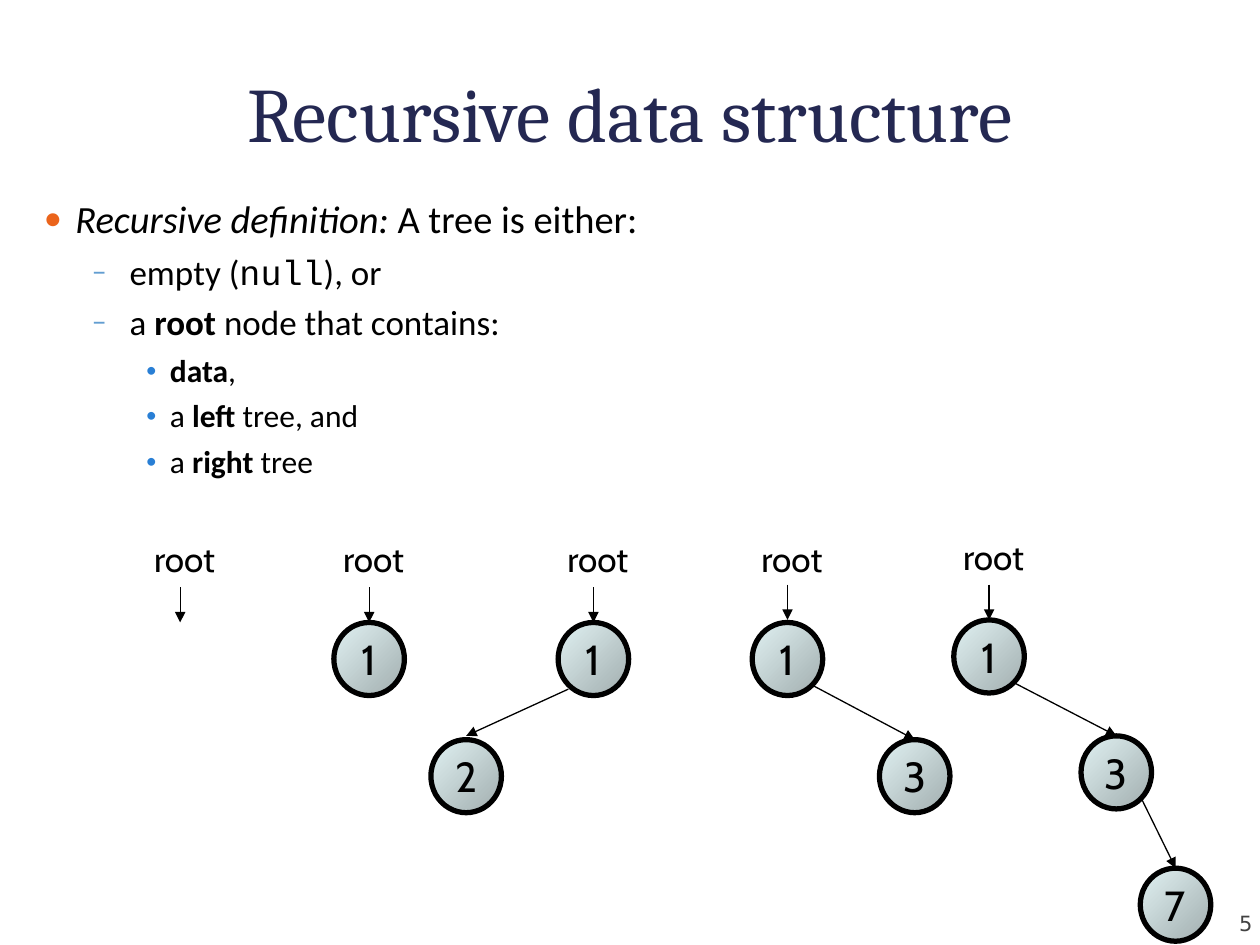
"""Build a slide that defines a binary tree recursively and shows five examples."""
from dataclasses import dataclass

import lxml.etree
import pptx
import pptx.dml.color
import pptx.enum.shapes
import pptx.enum.text
import pptx.oxml.ns
import pptx.util

COLUMNS, ROWS = 100, 75
SLIDE_WIDTH, SLIDE_HEIGHT = pptx.util.Inches(10), pptx.util.Inches(7.5)
NODE_WIDTH, NODE_HEIGHT = 5.6, 5.8
LABEL_WIDTH, LABEL_HEIGHT = 7.5, 4.4
LABEL_RISE, POINTER_LENGTH = 7.2, 2.8
EDGE_ACROSS = 2
BLACK = "000000"
ALIGN = pptx.enum.text.PP_ALIGN
ANCHOR = pptx.enum.text.MSO_ANCHOR


@dataclass(frozen=True)
class Child:
    """A node placed by columns and rows from its parent, with its edge's ends."""
    value: str
    across: float
    down: float
    edge_start: float = 5
    edge_gap: float = 0


@dataclass(frozen=True)
class Tree:
    """A tree by the column of its root centre and the row of its root top."""
    column: float
    row: float
    value: str = ""
    children: tuple[Child, ...] = ()
    pointer_lift: float = 0


@dataclass(frozen=True)
class Level:
    """The look of one outline level."""
    size: float
    margin: float
    indent: float
    before: float
    bullet: str
    color: str
    bullet_size: int


@dataclass(frozen=True)
class Span:
    """A piece of text with its own format."""
    text: str
    bold: bool = False
    italic: bool = False
    font: str = "Calibri"


LEVELS = (
    Level(22, 0.25, -0.25, 5.5, "•", "EB641B", 95),
    Level(20, 0.68, -0.3, 5, "–", "629DD1", 85),
    Level(18, 1, -0.19, 4.5, "•", "297FD5", 70),
)
OUTLINE = (
    (0, (Span("Recursive definition:", italic=True), Span(" A tree is either:"))),
    (1, (Span("empty ("), Span("null", font="Courier New"), Span("), or"))),
    (1, (Span("a "), Span("root", bold=True), Span(" node that contains:"))),
    (2, (Span("data", bold=True), Span(","))),
    (2, (Span("a "), Span("left", bold=True), Span(" tree, and"))),
    (2, (Span("a "), Span("right", bold=True), Span(" tree"))),
)
TREES = (
    Tree(14.3, 49.4),
    Tree(29.3, 49.4, "1"),
    Tree(47.1, 49.4, "1", (Child("2", -10.1, 9.3, 5.3, 0.3),)),
    Tree(62.5, 49.4, "1", (Child("3", 10.1, 9.3),), 0.2),
    Tree(78.5, 49.2, "1", (Child("3", 10.1, 9.2), Child("7", 4.7, 10.5))),
)


def across(columns: float) -> int:
    """Turn grid columns into a length."""
    return round(SLIDE_WIDTH * columns / COLUMNS)


def down(rows: float) -> int:
    """Turn grid rows into a length."""
    return round(SLIDE_HEIGHT * rows / ROWS)


def color(value: str) -> pptx.dml.color.RGBColor:
    """Turn a hex string into a colour."""
    return pptx.dml.color.RGBColor.from_string(value)


def write(para, text: str, *, size: float, font: str, fill: str = BLACK,
          bold: bool = False, italic: bool = False) -> None:
    """Add a formatted span to a paragraph."""
    span = para.add_run()
    span.text = text
    span.font.size = pptx.util.Pt(size)
    span.font.name = font
    span.font.bold, span.font.italic = bold, italic
    span.font.color.rgb = color(fill)


def add_text(shapes, text: str, left: float, top: float, width: float, height: float, *,
             align=ALIGN.LEFT, anchor=ANCHOR.TOP, insets=(0.1, 0.05, 0.1, 0.05),
             wrap: bool = True, grow: bool = False, **form):
    """Add a text box on the grid and return its frame."""
    box = shapes.add_textbox(across(left), down(top), across(width), down(height))
    frame = box.text_frame
    frame.margin_left, frame.margin_top, frame.margin_right, frame.margin_bottom = (
        pptx.util.Inches(inset) for inset in insets)
    frame.word_wrap, frame.vertical_anchor = wrap, anchor
    if grow:
        frame.auto_size = pptx.enum.text.MSO_AUTO_SIZE.SHAPE_TO_FIT_TEXT
    if text:
        frame.paragraphs[0].alignment = align
        write(frame.paragraphs[0], text, **form)
    return frame


def add_element(parent, tag: str, **attributes: str):
    """Append a drawing element to a parent element."""
    return lxml.etree.SubElement(parent, pptx.oxml.ns.qn(tag), attributes)


def set_level(para, number: int) -> None:
    """Give a paragraph the indent and bullet of its level."""
    level = LEVELS[number]
    para.level = number
    properties = para._p.get_or_add_pPr()
    properties.set("marL", str(pptx.util.Inches(level.margin)))
    properties.set("indent", str(pptx.util.Inches(level.indent)))
    add_element(add_element(properties, "a:buClr"), "a:srgbClr", val=level.color)
    add_element(properties, "a:buSzPct", val=str(level.bullet_size * 1000))
    add_element(properties, "a:buFont", typeface="Calibri")
    add_element(properties, "a:buChar", char=level.bullet)


def add_outline(shapes) -> None:
    """Add the bulleted definition."""
    frame = add_text(shapes, "", 2.5, 15, 97.5, 56.7)
    for index, (number, spans) in enumerate(OUTLINE):
        para = frame.add_paragraph() if index else frame.paragraphs[0]
        set_level(para, number)
        if index:
            para.space_before = pptx.util.Pt(LEVELS[number].before)
        for span in spans:
            write(para, span.text, size=LEVELS[number].size, font=span.font,
                  bold=span.bold, italic=span.italic)


def add_arrow(shapes, start: tuple[float, float], end: tuple[float, float]) -> None:
    """Add a thin arrow between two grid points."""
    arrow = shapes.add_connector(pptx.enum.shapes.MSO_CONNECTOR.STRAIGHT,
                                 across(start[0]), down(start[1]), across(end[0]), down(end[1]))
    arrow.line.color.rgb = color(BLACK)
    arrow.line.width = pptx.util.Pt(0.75)
    add_element(arrow.line._get_or_add_ln(), "a:tailEnd", type="triangle")
    add_element(arrow._element.spPr, "a:effectLst")


def add_node(shapes, value: str, column: float, row: float) -> None:
    """Add a round node by its centre column and top row."""
    node = shapes.add_shape(pptx.enum.shapes.MSO_SHAPE.OVAL, across(column - NODE_WIDTH / 2),
                            down(row), across(NODE_WIDTH), down(NODE_HEIGHT))
    node.shadow.inherit = False
    node.fill.gradient()
    node.fill.gradient_angle = 315
    for stop, shade, position in zip(node.fill.gradient_stops, ("E1F2F3", "A1ADAE"), (0, 1)):
        stop.color.rgb, stop.position = color(shade), position
    node.line.color.rgb = color(BLACK)
    node.line.width = pptx.util.Pt(3)
    frame = node.text_frame
    frame.word_wrap, frame.vertical_anchor = False, ANCHOR.MIDDLE
    frame.paragraphs[0].alignment = ALIGN.CENTER
    write(frame.paragraphs[0], value, size=24, font="Cabin")


def add_tree(page, tree: Tree) -> None:
    """Add a tree with its root label, pointer, nodes and edges as a group."""
    shapes = page.shapes.add_group_shape().shapes
    column, row = tree.column, tree.row
    if tree.value:
        add_node(shapes, tree.value, column, row)
    add_text(shapes, "root", column - LABEL_WIDTH / 2, row - LABEL_RISE, LABEL_WIDTH,
             LABEL_HEIGHT, align=ALIGN.RIGHT, wrap=False, grow=True, size=20, font="Cabin")
    tip = row - tree.pointer_lift
    add_arrow(shapes, (column, tip - POINTER_LENGTH), (column, tip))
    for child in tree.children:
        side = EDGE_ACROSS if child.across > 0 else -EDGE_ACROSS
        start = (column + side, row + child.edge_start)
        column, row = column + child.across, row + child.down
        add_node(shapes, child.value, column, row)
        add_arrow(shapes, start, (column, row - child.edge_gap))


def main() -> None:
    """Build and save the deck."""
    deck = pptx.Presentation()
    deck.slide_width, deck.slide_height = SLIDE_WIDTH, SLIDE_HEIGHT
    page = deck.slides.add_slide(deck.slide_layouts[6])
    add_text(page.shapes, "5", 91.1, 70.3, 8.3, 4, align=ALIGN.RIGHT, anchor=ANCHOR.BOTTOM,
             insets=(0, 0, 0, 0), size=12, font="DejaVu Sans", fill="424242")
    add_text(page.shapes, "Recursive data structure", 5, 4.8, 90, 7.7, align=ALIGN.CENTER,
             anchor=ANCHOR.BOTTOM, insets=(0, 0.05, 0, 0), size=44, font="Cambria", fill="242852")
    add_outline(page.shapes)
    for tree in TREES:
        add_tree(page, tree)
    deck.save("out.pptx")


if __name__ == "__main__":
    main()
